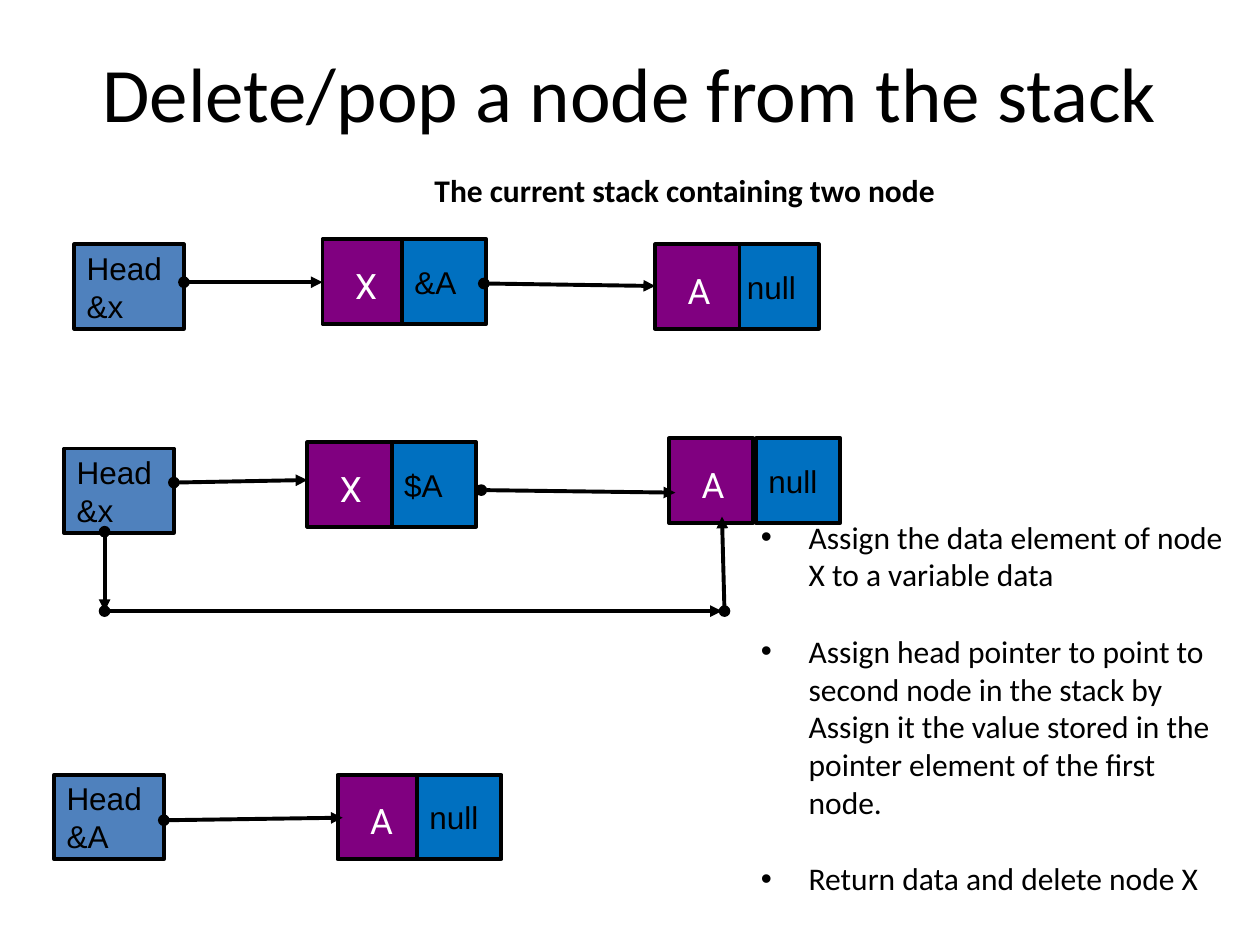
from lxml.etree import SubElement
from pptx import Presentation
from pptx.dml.color import RGBColor
from pptx.enum.shapes import MSO_CONNECTOR as CONNECTOR, MSO_SHAPE as SHAPE
from pptx.enum.text import MSO_ANCHOR as ANCHOR, MSO_AUTO_SIZE as AUTO_SIZE, PP_ALIGN as ALIGN
from pptx.oxml.ns import qn
from pptx.util import Pt

BLACK = RGBColor(0, 0, 0)
WHITE = RGBColor(255, 255, 255)
HEAD_BLUE = RGBColor(0x4F, 0x81, 0xBD)
POINTER_BLUE = RGBColor(0, 0x70, 0xC0)
PURPLE = RGBColor(0x80, 0, 0x80)

PX = 9144
CELL = 67
HEAD_WIDTH = 87
INDENT = 38

TITLE = "Delete/pop a node from the stack"
CAPTION = "The current stack containing two node"
STEPS = [
    "Assign the data element of node X to a variable data",
    "Assign head pointer to point to second node in the stack by "
    "Assign it the value stored in the pointer element of the first node.",
    "Return data and delete node X",
]
CELLS = [
    ("head", ["Head", "&x"], 59, 194),
    ("value", ["X"], 256, 190),
    ("pointer", ["&A"], 319, 190),
    ("pointer", ["null"], 583, 194),
    ("value", ["A"], 520, 194),
    ("head", ["Head", "&x"], 51, 356),
    ("value", ["X"], 244, 351),
    ("pointer", ["$A"], 311, 351),
    ("value", ["A"], 531, 348),
    ("pointer", ["null"], 600, 348),
    ("head", ["Head", "&A"], 43, 615),
    ("value", ["A"], 268, 615),
    ("pointer", ["null"], 331, 615),
]
ARROWS = [
    (146, 224, 256, 224),
    (384, 225, 520, 227),
    (138, 383, 244, 381),
    (382, 389, 536, 391),
    (83, 422, 83, 485),
    (83, 485, 573, 485),
    (575, 485, 573, 410),
    (130, 651, 272, 649),
]
FILLS = {"head": HEAD_BLUE, "value": PURPLE, "pointer": POINTER_BLUE}

prs = Presentation()
prs.slide_width, prs.slide_height = 1000 * PX, 750 * PX
slide = prs.slides.add_slide(prs.slide_layouts[6])


def scaled(*lengths):
    return [length * PX for length in lengths]


def write(holder, lines, font="Calibri", size=18, color=BLACK, bold=False,
          align=ALIGN.LEFT, anchor=ANCHOR.TOP, wrap=True, grow=False,
          bullet=None, gap=0):
    frame = holder.text_frame
    frame.word_wrap = wrap
    frame.vertical_anchor = anchor
    frame.auto_size = AUTO_SIZE.SHAPE_TO_FIT_TEXT if grow else AUTO_SIZE.NONE
    for i, line in enumerate(lines):
        par = frame.paragraphs[0] if i == 0 else frame.add_paragraph()
        par.alignment = align
        if i and gap:
            par.space_before = Pt(gap)
        if bullet:
            props = par._p.get_or_add_pPr()
            props.set("marL", str(INDENT * PX))
            props.set("indent", str(-INDENT * PX))
            SubElement(props, qn("a:buFont"), typeface="Arial")
            SubElement(props, qn("a:buChar"), char=bullet)
        run = par.add_run()
        run.text = line
        run.font.name, run.font.size = font, Pt(size)
        run.font.bold, run.font.color.rgb = bold, color


def add_text(left, top, width, height, lines, **style):
    write(slide.shapes.add_textbox(*scaled(left, top, width, height)), lines, **style)


def add_cell(role, lines, left, top):
    width = HEAD_WIDTH if role == "head" else CELL
    cell = slide.shapes.add_shape(SHAPE.RECTANGLE, *scaled(left, top, width, CELL))
    cell.shadow.inherit = False
    cell.fill.solid()
    cell.fill.fore_color.rgb = FILLS[role]
    cell.line.color.rgb, cell.line.width = BLACK, Pt(2.25)
    if role == "value":
        add_text(left + 16, top + 15, 37, 44, lines, font="Roboto", size=20,
                 color=WHITE, align=ALIGN.CENTER, wrap=False, grow=True)
    else:
        write(cell, lines, font="Arial", anchor=ANCHOR.MIDDLE, wrap=False)


def add_arrow(*ends):
    arrow = slide.shapes.add_connector(CONNECTOR.STRAIGHT, *scaled(*ends))
    arrow.line.color.rgb, arrow.line.width = BLACK, Pt(2.25)
    outline = arrow.line._get_or_add_ln()
    SubElement(outline, qn("a:headEnd"), type="oval")
    SubElement(outline, qn("a:tailEnd"), type="triangle")
    SubElement(arrow._element.spPr, qn("a:effectLst"))


add_text(50, 30, 900, 85, [TITLE], size=44, align=ALIGN.CENTER, anchor=ANCHOR.MIDDLE)
add_text(335, 131, 433, 40, [CAPTION], bold=True, grow=True)
for cell_spec in CELLS:
    add_cell(*cell_spec)
for ends in ARROWS:
    add_arrow(*ends)
add_text(594, 406, 394, 313, STEPS, bullet="•", gap=22, grow=True)

prs.save("out.pptx")
